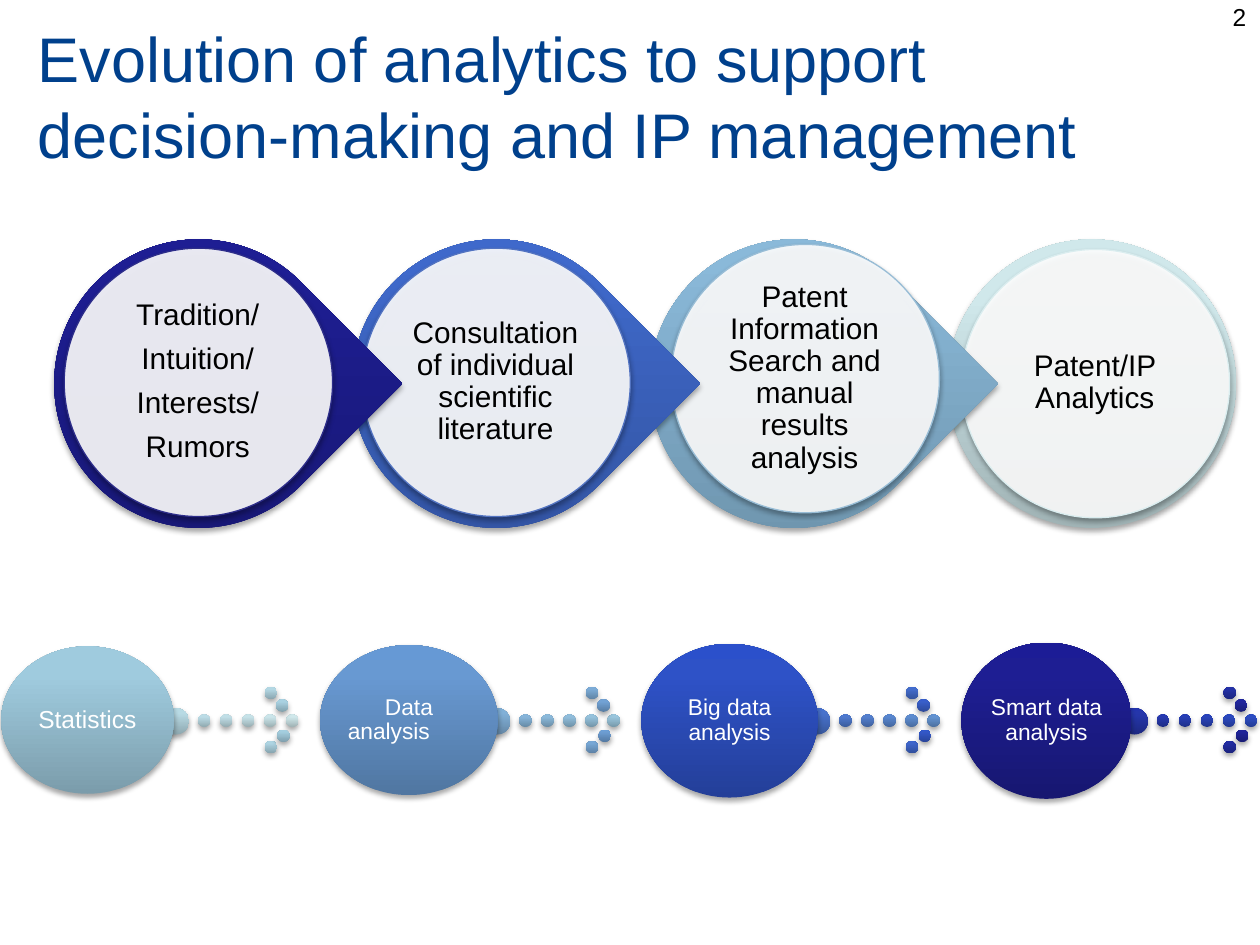
from lxml.etree import SubElement as Sub
from pptx import Presentation
from pptx.dml.color import RGBColor
from pptx.enum.shapes import MSO_SHAPE as Kind
from pptx.enum.text import MSO_ANCHOR as Anchor, PP_ALIGN as Align
from pptx.oxml.ns import qn
from pptx.util import Inches, Pt

PALE = ("A0B3B5", "D0E8EB", "D1EAEC")
NAVY = ("171771", "1E1E93", "1C1C96")
KEYS = [
    (0, PALE),
    (10, ("7B9CAB", "9FCBDE", "9FCCE0")),
    (21, ("5076A1", "6899D2", "6699D5")),
    (32, ("243F99", "2E52C7", "2B50CB")),
    (43, NAVY),
]
SMALL = 0.1
DOTS = [(0.98 - 0.175 * i, 0.05, SMALL) for i in range(5)] + [
    (0, 0, 0.21),
    (0.81, -0.17, SMALL),
    (0.81, 0.26, SMALL),
    (0.9, -0.07, SMALL),
    (0.91, 0.17, SMALL),
]
STAGES = [
    ("Statistics", 14, (0.01, 5.13, 1.37, 1.17), 1.29),
    ("Data analysis\t", 13, (2.54, 5.12, 1.41, 1.19), 3.84),
    ("Big data analysis", 13, (5.09, 5.11, 1.4, 1.22), 6.38),
    ("Smart data analysis", 13, (7.63, 5.1, 1.35, 1.24), 8.9),
]
DROPS = [
    ("Tradition/\nIntuition/\nInterests/\nRumors", NAVY, "2D2D8A", 0.08, 0.07),
    ("Consultation of individual scientific literature",
     ("31519C", "3F69CB", "3D69CE"), "5273C1", 0.08, 0.07),
    ("Patent Information Search and manual results analysis",
     ("6A8FA7", "8AB9D9", "89BADB"), "98BDD6", 0.17, 0.04),
    ("Patent/IP Analytics", PALE, "DAEDEF", 0.11, 0.08),
]


def color(code):
    """Turn a hex string into a colour."""
    return RGBColor.from_string(code)


def blend(one, two, part):
    """Mix two hex colours."""
    pairs = zip(color(one), color(two))
    return "".join(f"{round(a + (b - a) * part):02X}" for a, b in pairs)


def shades(step):
    """Give the three gradient colours at one step of the chain."""
    for (low, first), (high, last) in zip(KEYS, KEYS[1:]):
        if step <= high:
            part = (step - low) / (high - low)
            return [blend(a, b, part) for a, b in zip(first, last)]


def text(shapes, box, words, size=17, ink="000000", align=Align.CENTER,
         anchor=Anchor.MIDDLE, inset=0.02, line=0.9, after=0.4):
    """Add a text box with one paragraph per line of words."""
    frame = shapes.add_textbox(*map(Inches, box)).text_frame
    frame.word_wrap = True
    frame.vertical_anchor = anchor
    if inset is not None:
        frame.margin_left = frame.margin_right = Inches(inset)
        frame.margin_top = frame.margin_bottom = Inches(inset)
    for i, row in enumerate(words.split("\n")):
        para = frame.paragraphs[0] if i == 0 else frame.add_paragraph()
        para.alignment = align
        para.line_spacing = line
        para.space_after = Pt(size * after)
        run = para.add_run()
        run.text = row
        run.font.size = Pt(size)
        run.font.name = "Arial"
        run.font.color.rgb = color(ink)


def shade(shape):
    """Give a shape a soft shadow below it."""
    shape.shadow.inherit = False
    effects = shape._element.spPr.find(qn("a:effectLst"))
    glow = Sub(effects, qn("a:outerShdw"), blurRad=str(Pt(3.1)),
               dist=str(Pt(1.8)), dir="5400000", rotWithShape="0")
    tint = Sub(glow, qn("a:srgbClr"), val="000000")
    Sub(tint, qn("a:alpha"), val="35000")


def blob(shapes, box, tones, kind=Kind.OVAL):
    """Add a shape that darkens towards its bottom."""
    shape = shapes.add_shape(kind, *map(Inches, box))
    shape.fill.gradient()
    shape.fill.gradient_angle = 90
    grad = shape._element.spPr.find(qn("a:gradFill"))
    grad.set("rotWithShape", "0")
    stops = grad.find(qn("a:gsLst"))
    stops.clear()
    for pos, tone in zip((0, 80, 100), tones):
        stop = Sub(stops, qn("a:gs"), pos=str(pos * 1000))
        Sub(stop, qn("a:srgbClr"), val=tone)
    shape.line.fill.background()
    shade(shape)
    return shape


def disc(shapes, box, edge):
    """Add a slightly clear white disc with a thin edge."""
    shape = shapes.add_shape(Kind.OVAL, *map(Inches, box))
    shape.fill.solid()
    shape.fill.fore_color.rgb = color("FFFFFF")
    tint = shape._element.spPr.find(qn("a:solidFill"))[0]
    Sub(tint, qn("a:alpha"), val="90000")
    shape.line.color.rgb = color(edge)
    shape.line.width = Pt(0.75)
    shade(shape)


def stage(shapes, box, words, size, tail, first):
    """Add a labelled oval with its dotted arrow."""
    for i, (dx, dy, side) in enumerate(DOTS):
        blob(shapes, (tail + dx, 5.62 + dy, side, side), shades(first + i))
    left, top, wide, high = box
    blob(shapes, box, shades(first + len(DOTS)))
    inner = (left + 0.2, top + 0.18, wide - 0.4, high - 0.36)
    text(shapes, inner, words, size=size, ink="FFFFFF")


def drop(shapes, box, words, tones, edge, dx, dy, last):
    """Add a pointed ring around a labelled disc."""
    left, top = box[:2]
    ring = blob(shapes, box, tones, Kind.OVAL if last else Kind.TEAR)
    ring.rotation = 0 if last else 45
    left, top = left + dx, top + dy
    disc(shapes, (left, top, 2.13, 2.13), edge)
    text(shapes, (left + 0.3, top + 0.3, 1.52, 1.52), words)


def build():
    """Build the slide and save it."""
    deck = Presentation()
    deck.slide_width, deck.slide_height = Inches(10), Inches(7.5)
    shapes = deck.slides.add_slide(deck.slide_layouts[6]).shapes
    text(shapes, (0.2, 0.13, 9, 1.25),
         "Evolution of analytics to support decision-making and IP management",
         size=36, ink="00408C", align=Align.LEFT, inset=None, line=1, after=0)
    chain = shapes.add_group_shape().shapes
    for i, (words, size, box, tail) in enumerate(STAGES):
        stage(chain, box, words, size, tail, i * (len(DOTS) + 1))
    text(shapes, (7.66, -0.03, 2.33, 0.52), "2", size=14, align=Align.RIGHT,
         anchor=Anchor.TOP, inset=None, line=1, after=0)
    flow = shapes.add_group_shape().shapes
    for i, parts in reversed(list(enumerate(DROPS))):
        box = (0.43 + 2.363 * i, 1.9, 2.29, 2.29)
        drop(flow, box, *parts, last=i == len(DROPS) - 1)
    deck.save("out.pptx")


if __name__ == "__main__":
    build()
